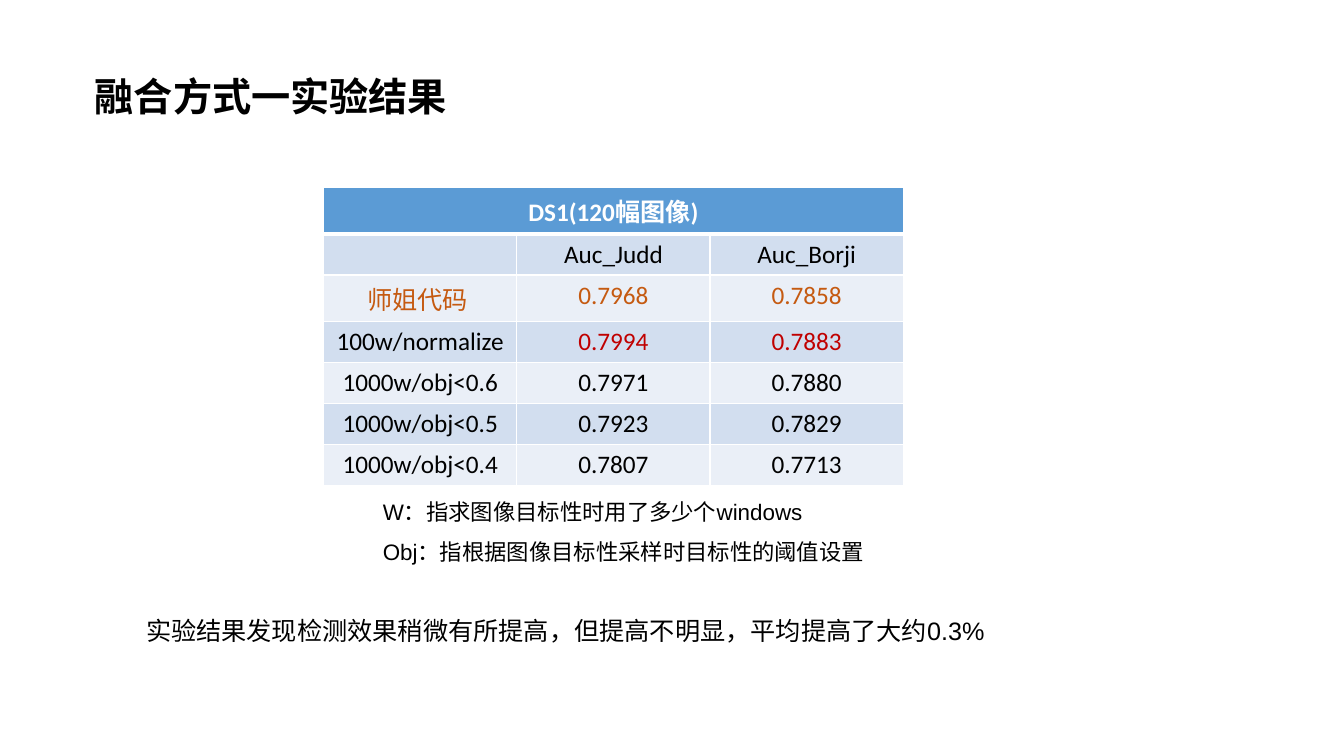
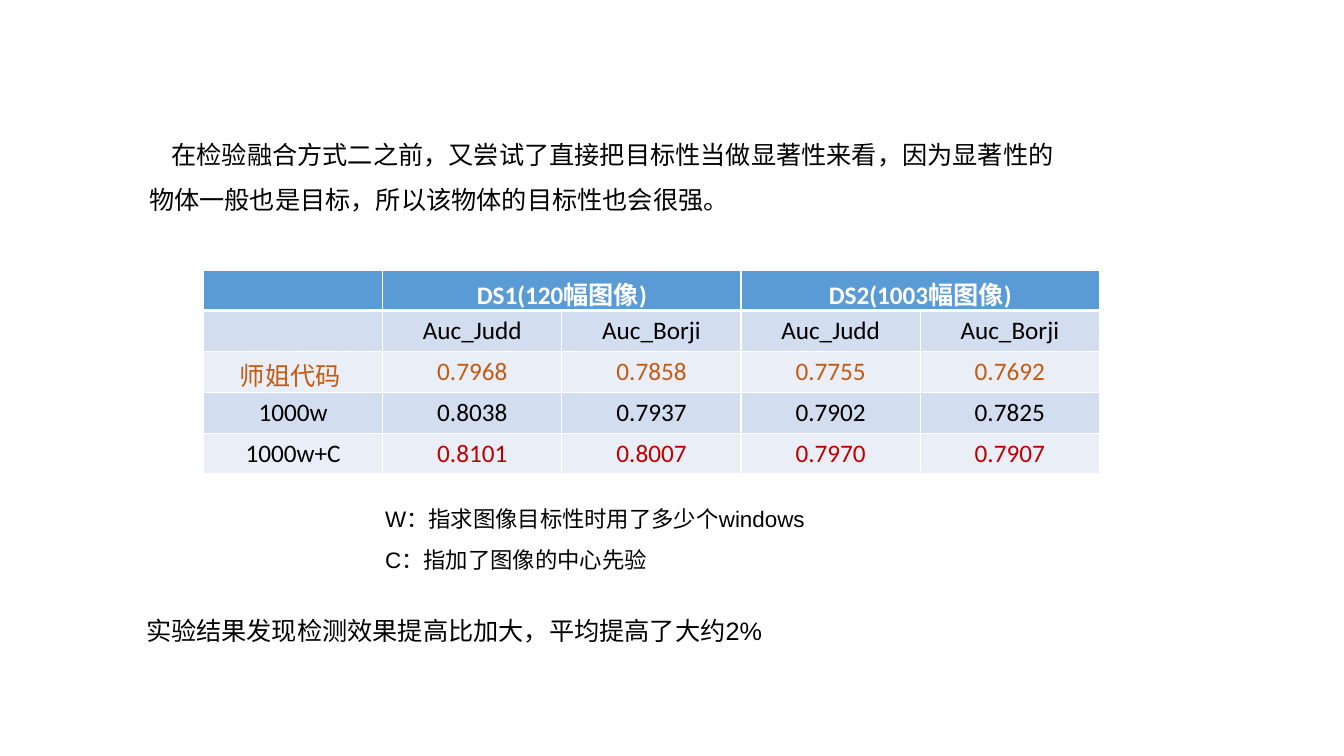
from lxml.etree import SubElement
from pptx import Presentation
from pptx.dml.color import RGBColor
from pptx.enum.text import MSO_ANCHOR as Anchor, MSO_AUTO_SIZE as Fit, PP_ALIGN as Align
from pptx.oxml.ns import qn
from pptx.util import Pt

BLACK, WHITE, ORANGE, RED = "000000", "FFFFFF", "C55A11", "C00000"
HEAD, BANDS = "5B9BD5", ("EAEFF7", "D2DEEF")
ROW = 29.2
WINDOW = "W：指求图像目标性时用了多少个windows"


def rgb(code):
    """Turn a hex string into a colour."""
    return RGBColor.from_string(code)


def style(para, size, name, color=BLACK, bold=False):
    """Set the font of a paragraph."""
    font = para.font
    font.size, font.name, font.bold = Pt(size), name, bold
    font.color.rgb = rgb(color)


def add_title(slide, text):
    """Place and format the title placeholder."""
    title = slide.shapes.title
    title.left, title.top, title.width, title.height = map(Pt, (60.5, 48.2, 302, 41))
    frame = title.text_frame
    frame.text = text
    frame.auto_size, frame.vertical_anchor = Fit.NONE, Anchor.TOP
    para = frame.paragraphs[0]
    para.alignment = Align.LEFT
    style(para, 28, "Calibri", bold=True)


def add_text(slide, box, lines, size=18, indent=0):
    """Add a wrapped text box with wide line spacing."""
    frame = slide.shapes.add_textbox(*map(Pt, box)).text_frame
    frame.word_wrap = True
    frame.text = "\n".join(lines)
    for para in frame.paragraphs:
        para.line_spacing = 1.5
        style(para, size, "Arial")
        if indent:
            para._p.get_or_add_pPr().set("indent", str(Pt(indent)))


def add_edges(cell, top, bottom):
    """Draw white borders around a cell, above its fill in the XML."""
    props = cell._tc.get_or_add_tcPr()
    for spot, (tag, width) in enumerate((("lnL", 1), ("lnR", 1), ("lnT", top), ("lnB", bottom))):
        line = SubElement(props, qn("a:" + tag), w=str(Pt(width)))
        fill = SubElement(line, qn("a:solidFill"))
        SubElement(fill, qn("a:srgbClr"), val=WHITE)
        props.insert(spot, line)


def set_cell(cell, row, text, color):
    """Fill one cell and format its text."""
    cell.fill.solid()
    cell.fill.fore_color.rgb = rgb(BANDS[row % 2] if row else HEAD)
    cell.text = text
    para = cell.text_frame.paragraphs[0]
    para.alignment = Align.CENTER
    style(para, 18, "Calibri", color, bold=row == 0)
    add_edges(cell, 3 if row == 1 else 1, 1 if row else 3)


def add_scores(slide, box, heights, rows, spans):
    """Add a score table; each row holds label colour, value colour and texts."""
    shape = slide.shapes.add_table(len(rows), len(rows[0][2]), *map(Pt, box))
    table = shape.table
    table.horz_banding = False
    for row, (label, value, texts) in enumerate(rows):
        table.rows[row].height = Pt(heights[row])
        for col, text in enumerate(texts):
            set_cell(table.cell(row, col), row, text, value if col else label)
    for first, last in spans:
        table.cell(0, first).merge(table.cell(0, last))
    shape.height = Pt(box[3])


def add_end(slide, text):
    """Add the closing remark at the foot of a slide."""
    add_text(slide, (97.2, 424.8, 672, 40), [text])


def make_first(deck):
    """Build the slide on the first fusion method."""
    slide = deck.slides.add_slide(deck.slide_layouts[5])
    add_title(slide, "融合方式一实验结果")
    rows = [
        (WHITE, WHITE, ("DS1(120幅图像)", "", "")),
        (BLACK, BLACK, ("", "Auc_Judd", "Auc_Borji")),
        (ORANGE, ORANGE, ("师姐代码 ", "0.7968", "0.7858")),
        (BLACK, RED, ("100w/normalize", "0.7994", "0.7883")),
        (BLACK, BLACK, ("1000w/obj<0.6", "0.7971", "0.7880")),
        (BLACK, BLACK, ("1000w/obj<0.5", "0.7923", "0.7829")),
        (BLACK, BLACK, ("1000w/obj<0.4", "0.7807", "0.7713")),
    ]
    add_scores(slide, (231.2, 134, 414, 204), [26, ROW, 26] + [ROW] * 4, rows, [(0, 2)])
    add_text(slide, (266.4, 342.7, 399, 65.5),
             [WINDOW, "Obj：指根据图像目标性采样时目标性的阈值设置"], 16)
    add_end(slide, "实验结果发现检测效果稍微有所提高，但提高不明显，平均提高了大约0.3%")


def make_second(deck):
    """Build the slide that treats objectness as saliency."""
    slide = deck.slides.add_slide(deck.slide_layouts[6])
    add_text(slide, (99.4, 85, 665, 73),
             ["在检验融合方式二之前，又尝试了直接把目标性当做显著性来看，"
              "因为显著性的物体一般也是目标，所以该物体的目标性也会很强。"], indent=16)
    rows = [
        (WHITE, WHITE, ("", "DS1(120幅图像)", "", "DS2(1003幅图像)", "")),
        (BLACK, BLACK, ("",) + ("Auc_Judd", "Auc_Borji") * 2),
        (ORANGE, ORANGE, ("师姐代码 ", "0.7968", "0.7858", "0.7755", "0.7692")),
        (BLACK, BLACK, ("1000w", "0.8038", "0.7937", "0.7902", "0.7825")),
        (BLACK, RED, ("1000w+C", "0.8101", "0.8007", "0.7970", "0.7907")),
    ]
    add_scores(slide, (145.4, 193, 640, 145.4), [0] + [ROW] * 4, rows, [(1, 2), (3, 4)])
    add_text(slide, (268, 348, 399, 65.5), [WINDOW, "C：指加了图像的中心先验"], 16)
    add_end(slide, "实验结果发现检测效果提高比加大，平均提高了大约2%")


def main():
    """Build and save the deck."""
    deck = Presentation()
    deck.slide_width, deck.slide_height = Pt(960), Pt(540)
    make_first(deck)
    make_second(deck)
    deck.save("out.pptx")


if __name__ == "__main__":
    main()
